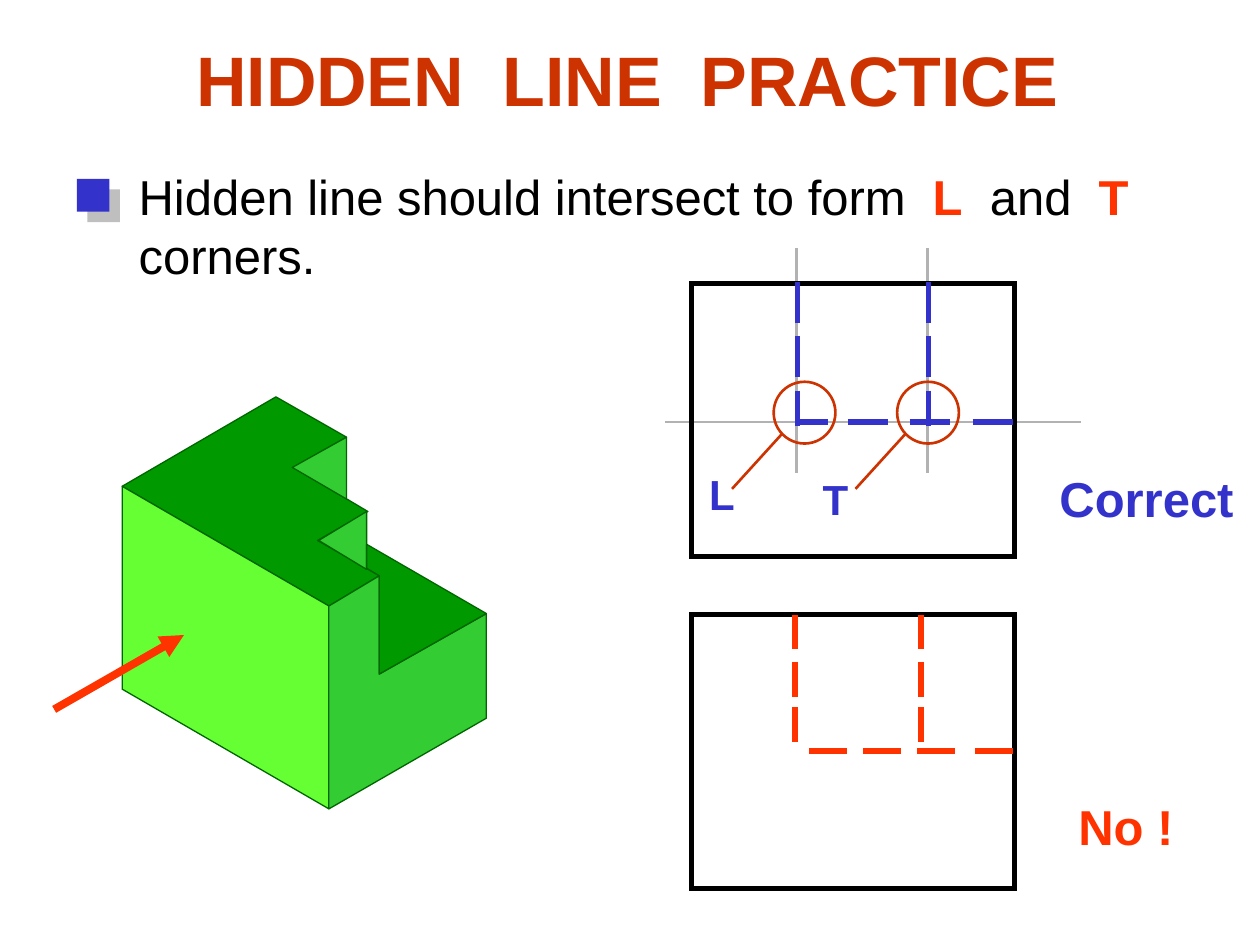
"""Build a drafting slide on how hidden lines should meet, on a grid of 100 columns by 75 rows."""
from dataclasses import dataclass

import lxml.etree
import pptx
import pptx.dml.color
import pptx.enum.shapes
import pptx.enum.text
import pptx.oxml
import pptx.oxml.ns
import pptx.util

RGB = pptx.dml.color.RGBColor
KIND = pptx.enum.shapes.MSO_SHAPE
BLACK = RGB(0x00, 0x00, 0x00)
GRAY = RGB(0xB2, 0xB2, 0xB2)
BLUE = RGB(0x33, 0x33, 0xCC)
RED = RGB(0xFF, 0x33, 0x00)
RUST = RGB(0xCC, 0x33, 0x00)
EDGE = RGB(0x00, 0x66, 0x00)
DARK = RGB(0x00, 0x99, 0x00)
MID = RGB(0x33, 0xCC, 0x33)
LIGHT = RGB(0x66, 0xFF, 0x33)

COLS, ROWS = 100, 75
CELL = pptx.util.Inches(0.1)
FONT = "Arial"
SHADOW = (
    '<a:effectLst xmlns:a="http://schemas.openxmlformats.org/drawingml/2006/main">'
    '<a:outerShdw blurRad="0" dist="107950" dir="2700000" algn="ctr" rotWithShape="0">'
    '<a:srgbClr val="808080"><a:alpha val="50000"/></a:srgbClr></a:outerShdw></a:effectLst>'
)


@dataclass(frozen=True)
class Box:
    left: float
    top: float
    width: float
    height: float


@dataclass(frozen=True)
class Line:
    start: tuple[float, float]
    end: tuple[float, float]
    color: RGB
    weight: float


@dataclass(frozen=True)
class Face:
    color: RGB
    points: tuple[tuple[float, float], ...]


@dataclass(frozen=True)
class Label:
    text: str
    box: Box
    size: int
    color: RGB


@dataclass(frozen=True)
class Dashes:
    color: RGB
    fixed: float
    spans: tuple[tuple[float, float], ...]
    upright: bool


TITLE = Box(7.3, 0, 85, 12.5)
BODY = Box(10, 12.7, 82, 10.4)
BULLET = Box(6.1, 14.2, 2.6, 2.6)
FRAMES = (Box(54.9, 22.5, 25.6, 21.7), Box(54.9, 48.8, 25.6, 21.7))
RINGS = (61.4, 71.2)

GUIDES = (
    Line((52.8, 33.5), (85.8, 33.5), GRAY, 1.5),
    Line((63.2, 19.7), (63.2, 37.5), GRAY, 1.5),
    Line((73.6, 19.7), (73.6, 37.5), GRAY, 1.5),
)
FACES = (
    Face(DARK, ((26.1, 48.1), (9.7, 38.6), (21.9, 31.5), (27.5, 34.7),
                (23.3, 37.1), (29.2, 40.6), (25.2, 42.9), (30.1, 45.7))),
    Face(LIGHT, ((9.7, 38.6), (9.7, 54.7), (26.1, 64.2), (26.1, 48.1))),
    Face(MID, ((30.1, 45.7), (26.1, 48.1), (26.1, 64.2), (38.6, 57),
               (38.6, 48.7), (30.1, 53.5))),
    Face(MID, ((27.5, 34.7), (27.5, 39.6), (23.2, 37.1))),
    Face(MID, ((29.1, 40.6), (29.1, 45.2), (25.3, 42.9))),
    Face(DARK, ((38.6, 48.7), (29.1, 43.2), (29.1, 45.1), (30.1, 45.7), (30.1, 53.5))),
)
GOOD = ((22.4, 25.6), (26.7, 29.9), (31, 33.8))
BAD = ((48.8, 51.5), (52.5, 55.3), (56.1, 58.9))
DASHES = (
    Dashes(BLUE, 63.3, GOOD, True),
    Dashes(BLUE, 73.7, GOOD, True),
    Dashes(BLUE, 33.5, ((63.1, 65.7), (67.3, 70.5), (72.2, 75.4), (77.2, 80.4)), False),
    Dashes(RED, 63.1, BAD, True),
    Dashes(RED, 73.1, BAD, True),
    Dashes(RED, 59.6, ((64.2, 67.2), (68.5, 71.5), (72.8, 75.8), (77.4, 80.4)), False),
)
LABELS = (
    Label("Correct", Box(83.1, 36.7, 15.8, 5.7), 28, BLUE),
    Label("No !", Box(84.6, 62.7, 11, 5.7), 28, RED),
    Label("L", Box(55.3, 36.7, 4, 5), 24, BLUE),
    Label("T", Box(64.3, 37.1, 4, 5), 24, BLUE),
)


def scale(*cells: float) -> list[int]:
    """Turn grid cells into slide lengths."""
    return [round(cell * CELL) for cell in cells]


def place(shape, box: Box) -> None:
    """Move a shape onto its grid box."""
    shape.left, shape.top, shape.width, shape.height = scale(
        box.left, box.top, box.width, box.height)


def write(para, text: str, *, size: int = 28, color: RGB = BLACK, bold: bool = False) -> None:
    """Add one formatted run to a paragraph."""
    run = para.add_run()
    run.text = text
    run.font.name = FONT
    run.font.size = pptx.util.Pt(size)
    run.font.bold = bold
    run.font.color.rgb = color


def draw_line(shapes, line: Line, arrow: bool = False) -> None:
    """Draw a straight line, with an arrowhead if asked."""
    link = shapes.add_connector(
        pptx.enum.shapes.MSO_CONNECTOR.STRAIGHT, *scale(*line.start, *line.end))
    link.line.color.rgb = line.color
    link.line.width = pptx.util.Pt(line.weight)
    if arrow:
        lxml.etree.SubElement(
            link.line._get_or_add_ln(), pptx.oxml.ns.qn("a:tailEnd"), type="triangle")
    lxml.etree.SubElement(link._element.spPr, pptx.oxml.ns.qn("a:effectLst"))


def draw_shape(shapes, kind, box: Box, color: RGB, weight: float):
    """Draw an unfilled outline shape with sharp corners."""
    shape = shapes.add_shape(kind, *scale(box.left, box.top, box.width, box.height))
    shape.shadow.inherit = False
    shape.fill.background()
    shape.line.color.rgb = color
    shape.line.width = pptx.util.Pt(weight)
    lxml.etree.SubElement(
        shape.line._get_or_add_ln(), pptx.oxml.ns.qn("a:miter"), lim="800000")
    return shape


def draw_bullet(shapes) -> None:
    """Draw the solid square with its offset shadow."""
    shape = draw_shape(shapes, KIND.RECTANGLE, BULLET, BLUE, 0.75)
    shape.fill.solid()
    shape.fill.fore_color.rgb = BLUE
    shape.line.fill.background()
    props = shape._element.spPr
    props.replace(props.find(pptx.oxml.ns.qn("a:effectLst")), pptx.oxml.parse_xml(SHADOW))


def draw_face(shapes, face: Face) -> None:
    """Draw one face of the solid block."""
    first, *rest = [scale(*point) for point in face.points]
    path = shapes.build_freeform(*first)
    path.add_line_segments(rest, close=True)
    shape = path.convert_to_shape()
    shape.shadow.inherit = False
    shape.fill.solid()
    shape.fill.fore_color.rgb = face.color
    shape.line.color.rgb = EDGE
    shape.line.width = pptx.util.Pt(0.75)


def draw_dashes(shapes, row: Dashes) -> None:
    """Draw a hidden line dash by dash."""
    for span in row.spans:
        ends = [(row.fixed, at) if row.upright else (at, row.fixed) for at in span]
        draw_line(shapes, Line(*ends, row.color, 3))


def draw_label(shapes, label: Label) -> None:
    """Draw a bold label that does not wrap."""
    box = shapes.add_textbox(0, 0, 0, 0)
    place(box, label.box)
    box.text_frame.word_wrap = False
    write(box.text_frame.paragraphs[0], label.text,
          size=label.size, color=label.color, bold=True)


def fill_text(slide) -> None:
    """Fill the title and body placeholders."""
    title, body = slide.shapes.title, slide.placeholders[1]
    for shape, box in ((title, TITLE), (body, BODY)):
        place(shape, box)
        shape.text_frame.auto_size = pptx.enum.text.MSO_AUTO_SIZE.NONE
        shape.text_frame.word_wrap = True
    title.text_frame.vertical_anchor = pptx.enum.text.MSO_ANCHOR.MIDDLE
    head = title.text_frame.paragraphs[0]
    head.alignment = pptx.enum.text.PP_ALIGN.CENTER
    write(head, "HIDDEN  LINE  PRACTICE", size=40, color=RUST, bold=True)
    para = body.text_frame.paragraphs[0]
    para.space_before = pptx.util.Pt(0)
    props = para._p.get_or_add_pPr()
    props.set("marL", "0")
    props.set("indent", "0")
    lxml.etree.SubElement(props, pptx.oxml.ns.qn("a:buNone"))
    write(para, "Hidden line should intersect to form  ")
    write(para, "L", color=RED, bold=True)
    write(para, "  and  ")
    write(para, "T", color=RED, bold=True)
    write(para, " corners.")


def main() -> None:
    """Build and save the slide."""
    deck = pptx.Presentation()
    deck.slide_width, deck.slide_height = scale(COLS, ROWS)
    slide = deck.slides.add_slide(deck.slide_layouts[1])
    shapes = slide.shapes
    fill_text(slide)
    for line in GUIDES:
        draw_line(shapes, line)
    draw_bullet(shapes)
    for face in FACES:
        draw_face(shapes, face)
    draw_line(shapes, Line((4.3, 56.3), (14.6, 50.4), RED, 4.5), arrow=True)
    for frame in FRAMES:
        draw_shape(shapes, KIND.RECTANGLE, frame, BLACK, 3)
    for row in DASHES:
        draw_dashes(shapes, row)
    for left in RINGS:
        draw_shape(shapes, KIND.OVAL, Box(left, 30.3, 4.9, 4.9), RUST, 1.5)
        draw_line(shapes, Line((left + 0.7, 34.4), (left - 3.3, 38.8), RUST, 1.5))
    for label in LABELS:
        draw_label(shapes, label)
    deck.save("out.pptx")


if __name__ == "__main__":
    main()
